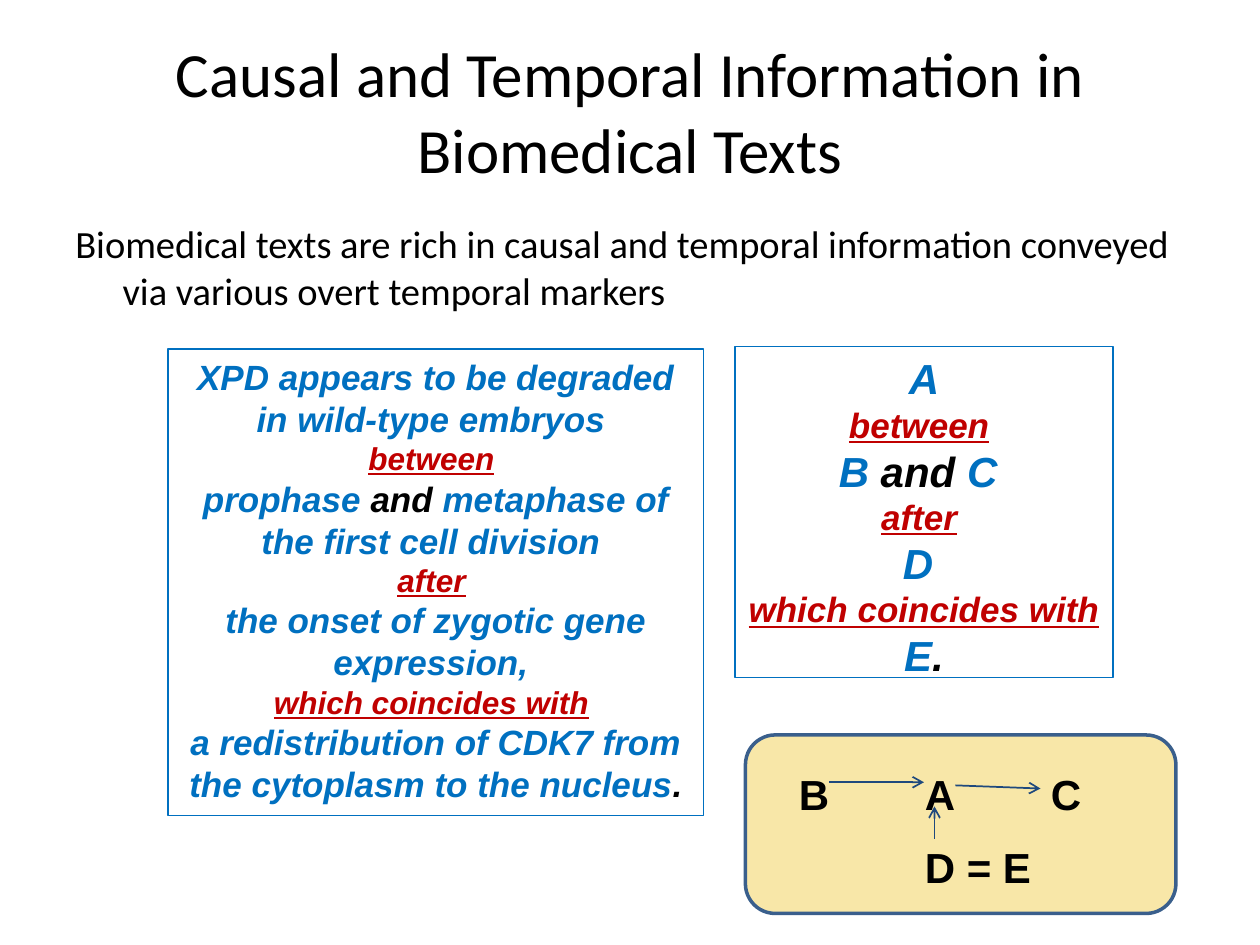
"""Build a slide on causal and temporal markers in biomedical texts."""
from typing import NamedTuple

from lxml import etree
from pptx import Presentation
from pptx.dml.color import RGBColor
from pptx.enum.shapes import MSO_CONNECTOR, MSO_SHAPE
from pptx.enum.text import MSO_ANCHOR, MSO_AUTO_SIZE, PP_ALIGN
from pptx.oxml.ns import qn
from pptx.util import Inches, Pt

CENTER, LEFT = PP_ALIGN.CENTER, PP_ALIGN.LEFT
TOP, MIDDLE = MSO_ANCHOR.TOP, MSO_ANCHOR.MIDDLE
GROW, NO_FIT = MSO_AUTO_SIZE.SHAPE_TO_FIT_TEXT, MSO_AUTO_SIZE.NONE
RECT, ROUNDED = MSO_SHAPE.RECTANGLE, MSO_SHAPE.ROUNDED_RECTANGLE
STRAIGHT = MSO_CONNECTOR.STRAIGHT
COLORS = {"event": "0070C0", "marker": "C00000", "plain": "000000",
          "panel": "EBBD07", "panel_line": "3A5F8C", "arrow": "1F497D"}
WIDTH, HEIGHT = Inches(10), Inches(7.5)
COLS, ROWS = 120, 90


class Box(NamedTuple):
    col: float
    row: float
    cols: float
    rows: float


class Span(NamedTuple):
    text: str
    role: str = "event"


class Sentence(NamedTuple):
    box: Box
    event_size: int
    marker_size: int
    lines: list[list[Span]]


class Label(NamedTuple):
    box: Box
    text: str
    size: int = 24
    font: str = "Arial"
    bold: bool = True
    hanging: float = 0
    tab_cols: tuple[float, ...] = ()


class Arrow(NamedTuple):
    col1: float
    row1: float
    col2: float
    row2: float


def marker(text: str) -> list[Span]:
    return [Span(text, "marker"), Span(" ", "gap")]


TITLE_BOX, PANEL_BOX = Box(9, 3, 102, 15), Box(71, 70, 41, 17)
INTRO = Label(Box(6, 20.4, 108, 62.4),
              "Biomedical texts are rich in causal and temporal information "
              "conveyed via various overt temporal markers",
              size=22, font="Calibri", bold=False, hanging=4.5)
SENTENCES = [
    Sentence(Box(16, 33.25, 51, 44.4), 20, 18, [
        [Span("XPD appears to be degraded in wild-type embryos ")],
        marker("between"),
        [Span("prophase "), Span("and", "plain"),
         Span(" metaphase of the first cell division ")],
        marker("after"),
        [Span("the onset of zygotic gene expression, ")],
        marker("which coincides with"),
        [Span("a redistribution of CDK7 from the cytoplasm to the nucleus"),
         Span(".", "plain")]]),
    Sentence(Box(70, 33, 36, 31.5), 24, 20, [
        [Span("A")],
        marker("between"),
        [Span("B"), Span(" and ", "plain"), Span("C ")],
        marker("after"),
        [Span("D ")],
        marker("which coincides with"),
        [Span("E"), Span(".", "plain")]]),
]
LABELS = [Label(Box(74.9, 72.6, 31, 4.8), "B\tA\tC", tab_cols=(12, 24)),
          Label(Box(86.9, 79.6, 13.7, 4.8), "D = E")]
ARROWS = [Arrow(79, 74.5, 88, 74.5), Arrow(91, 74.8, 99.1, 75.1),
          Arrow(89, 79.9, 89, 76.8)]


def x(col: float) -> int:
    return round(WIDTH * col / COLS)


def y(row: float) -> int:
    return round(HEIGHT * row / ROWS)


def place(box: Box) -> tuple[int, int, int, int]:
    return x(box.col), y(box.row), x(box.cols), y(box.rows)


def rgb(name: str) -> RGBColor:
    return RGBColor.from_string(COLORS[name])


def add_text(p, text: str, *, size: float, font: str = "Arial", color: str = "plain",
             bold: bool = False, italic: bool = False, underline: bool = False) -> None:
    r = p.add_run()
    r.text = text
    r.font.name, r.font.size = font, Pt(size)
    r.font.bold, r.font.italic, r.font.underline = bold, italic, underline
    r.font.color.rgb = rgb(color)


def set_frame(tf, anchor=TOP, fit=NO_FIT, align=LEFT):
    tf.word_wrap, tf.auto_size, tf.vertical_anchor = True, fit, anchor
    p = tf.paragraphs[0]
    p.alignment = align
    return p


def add_title(slide, text: str) -> None:
    sp = slide.shapes.title
    sp.left, sp.top, sp.width, sp.height = place(TITLE_BOX)
    p = set_frame(sp.text_frame, MIDDLE, align=CENTER)
    add_text(p, text, size=36, font="Calibri")


def add_label(slide, label: Label) -> None:
    sp = slide.shapes.add_textbox(*place(label.box))
    p = set_frame(sp.text_frame, fit=NO_FIT if label.hanging else GROW)
    pPr = p._p.get_or_add_pPr()
    if label.hanging:
        pPr.set("marL", str(x(label.hanging)))
        pPr.set("indent", str(-x(label.hanging)))
    if label.tab_cols:
        tabs = etree.SubElement(pPr, qn("a:tabLst"))
        for col in label.tab_cols:
            etree.SubElement(tabs, qn("a:tab"), pos=str(x(col)), algn="l")
    add_text(p, label.text, size=label.size, font=label.font, bold=label.bold)


def add_outlined(slide, kind, box: Box, line: str, width: float):
    sp = slide.shapes.add_shape(kind, *place(box))
    sp.shadow.inherit = False
    sp.fill.background()
    sp.line.color.rgb, sp.line.width = rgb(line), Pt(width)
    return sp


def add_sentence(slide, sentence: Sentence) -> None:
    tf = add_outlined(slide, RECT, sentence.box, "event", 0.75).text_frame
    p = set_frame(tf, fit=GROW, align=CENTER)
    for i, line in enumerate(sentence.lines):
        if i:
            p = tf.add_paragraph()
            p.alignment = CENTER
        for text, role in line:
            small = role in ("marker", "gap")
            add_text(p, text, bold=True, italic=True, underline=role == "marker",
                     size=sentence.marker_size if small else sentence.event_size,
                     color="plain" if role == "gap" else role)


def add_panel(slide) -> None:
    sp = add_outlined(slide, ROUNDED, PANEL_BOX, "panel_line", 2)
    sp.fill.solid()
    sp.fill.fore_color.rgb = rgb("panel")
    color = sp.element.spPr.find(qn("a:solidFill")).find(qn("a:srgbClr"))
    etree.SubElement(color, qn("a:alpha"), val="35000")


def add_arrow(slide, arrow: Arrow) -> None:
    s = slide.shapes.add_connector(STRAIGHT, x(arrow.col1), y(arrow.row1),
                                   x(arrow.col2), y(arrow.row2))
    s.line.color.rgb, s.line.width = rgb("arrow"), Pt(1)
    spPr = s.element.spPr
    etree.SubElement(spPr.find(qn("a:ln")), qn("a:tailEnd"), type="arrow")
    etree.SubElement(spPr, qn("a:effectLst"))


def main() -> None:
    prs = Presentation()
    prs.slide_width, prs.slide_height = WIDTH, HEIGHT
    slide = prs.slides.add_slide(prs.slide_layouts[5])
    add_title(slide, "Causal and Temporal Information in Biomedical Texts")
    add_label(slide, INTRO)
    for sentence in SENTENCES:
        add_sentence(slide, sentence)
    add_panel(slide)
    for label in LABELS:
        add_label(slide, label)
    for arrow in ARROWS:
        add_arrow(slide, arrow)
    prs.save("out.pptx")


if __name__ == "__main__":
    main()
